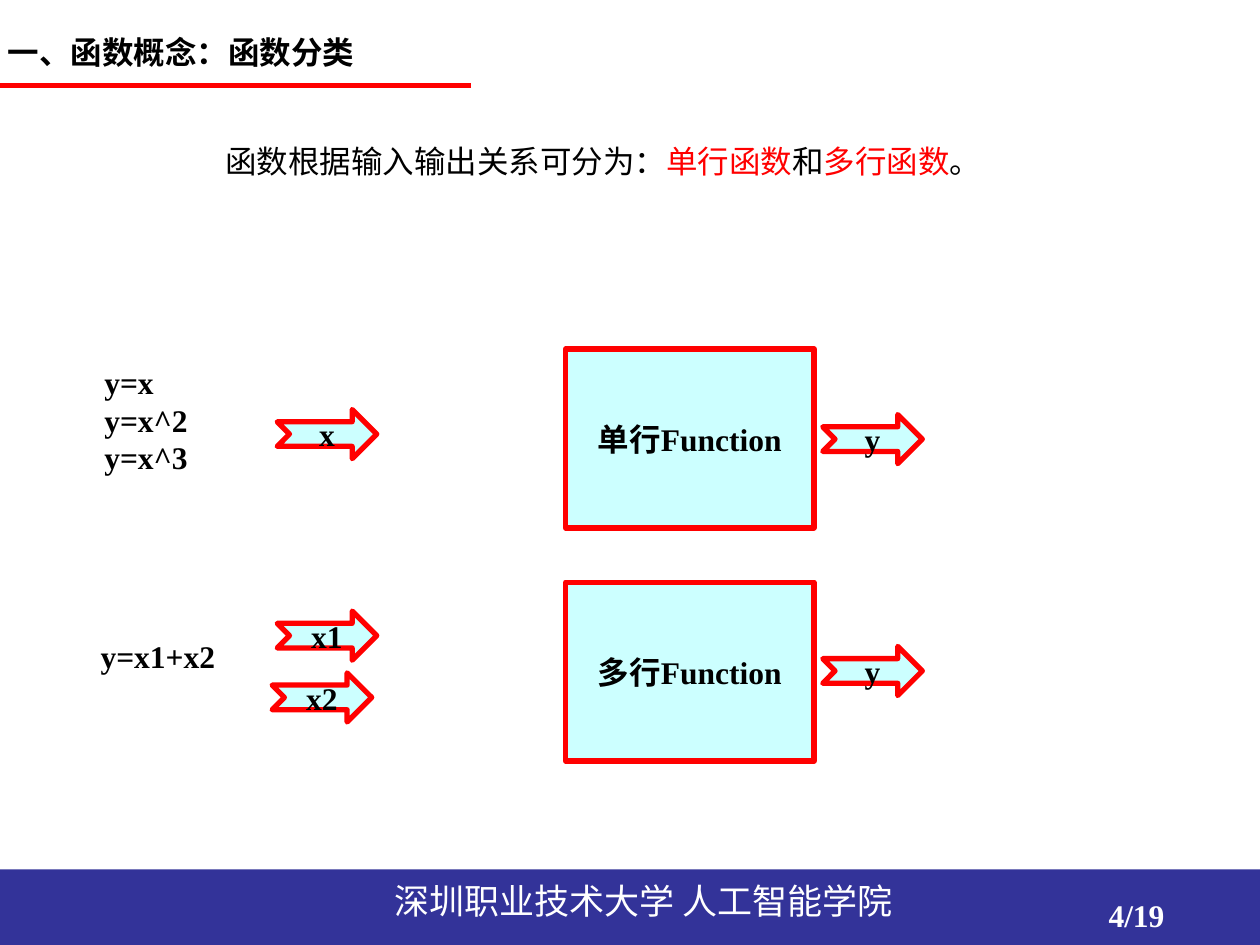
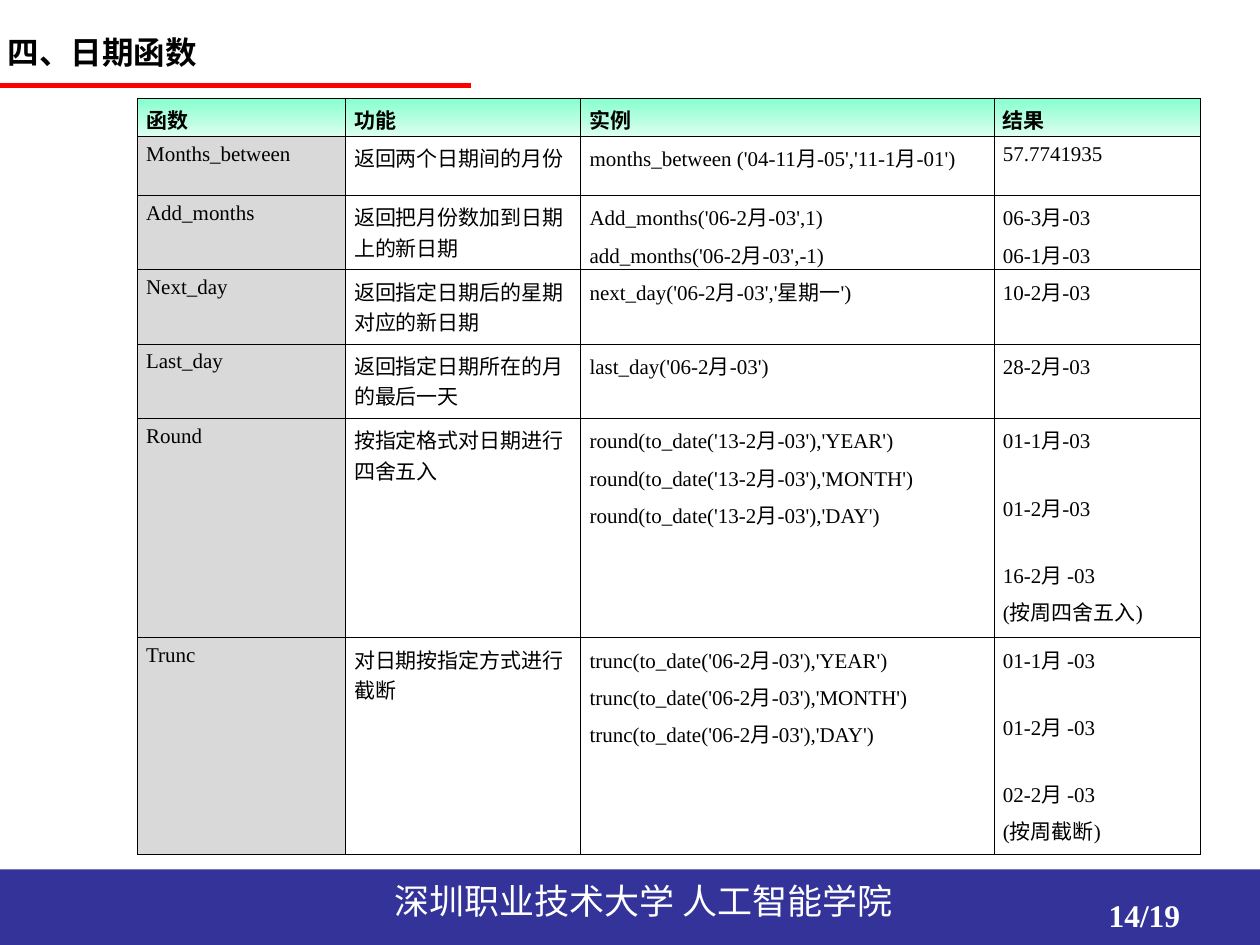
"""Two lecture slides on database functions: their kinds, and the date functions."""
from lxml import etree
from pptx import Presentation
from pptx import util as u
from pptx.dml.color import RGBColor
from pptx.enum import shapes, text
from pptx.oxml import ns

BLACK = RGBColor(0, 0, 0)
WHITE = RGBColor(255, 255, 255)
RED = RGBColor(255, 0, 0)
NAVY = RGBColor(0x33, 0x33, 0x99)
CYAN = RGBColor(0xCC, 0xFF, 0xFF)
GREY = RGBColor(0xD9, 0xD9, 0xD9)
MINT = RGBColor(0x86, 0xFF, 0xCF)
PALE_MINT = RGBColor(0xDC, 0xFF, 0xEF)
SERIF, SANS, CHINESE = "Times New Roman", "Arial", "Noto Sans CJK SC"


def style(frame, size=18, colour=BLACK, bold=True, font=SERIF):
    """Format every run of a text frame."""
    for para in frame.paragraphs:
        for span in para.runs:
            span.font.size = u.Pt(size)
            span.font.bold = bold
            span.font.name = font
            span.font.color.rgb = colour
            east = etree.SubElement(span._r.get_or_add_rPr(), ns.qn("a:ea"))
            east.set("typeface", CHINESE)


def add_text(page, left, top, width, height, words, **look):
    """Add a wrapped text box and return its frame."""
    frame = page.shapes.add_textbox(*map(u.Inches, (left, top, width, height))).text_frame
    frame.word_wrap = True
    frame.text = words
    style(frame, **look)
    return frame


deck = Presentation()
deck.slide_width, deck.slide_height = u.Inches(10), u.Inches(7.5)

pages = []
for heading, number in [("一、函数概念：函数分类", "4/19"), ("四、日期函数", "14/19")]:
    page = deck.slides.add_slide(deck.slide_layouts[5])
    pages.append(page)

    band = page.shapes.add_shape(shapes.MSO_SHAPE.RECTANGLE, 0, u.Inches(6.9), u.Inches(10), u.Inches(0.6))
    band.shadow.inherit = False
    band.fill.solid()
    band.fill.fore_color.rgb = NAVY
    band.line.fill.background()

    rule = page.shapes.add_connector(shapes.MSO_CONNECTOR.STRAIGHT, 0, u.Inches(0.68), u.Inches(3.74), u.Inches(0.68))
    rule.line.color.rgb = RED
    rule.line.width = u.Pt(3)
    etree.SubElement(rule._element.spPr, ns.qn("a:effectLst"))

    add_text(page, 3.03, 6.93, 4.94, 0.44, "深圳职业技术大学 人工智能学院",
             size=20, colour=WHITE, bold=False, font=CHINESE)
    add_text(page, 8.7, 7.06, 1.3, 0.44, number, colour=WHITE)

    title = page.shapes.title
    title.left, title.top, title.width, title.height = map(u.Inches, (-0.04, 0.21, 5.19, 0.4))
    title.text_frame.text = heading
    title.text_frame.auto_size = text.MSO_AUTO_SIZE.NONE
    title.text_frame.vertical_anchor = text.MSO_ANCHOR.TOP
    title.text_frame.paragraphs[0].alignment = text.PP_ALIGN.LEFT
    style(title.text_frame, font=SANS)

kinds_page, dates_page = pages

intro = add_text(kinds_page, 1.69, 1.08, 7.32, 0.4, "")
para = intro.paragraphs[0]
for words in ["函数根据输入输出关系可分为：", "单行函数", "和", "多行函数", "。"]:
    para.add_run().text = words
style(intro, bold=False, font=SANS)
for span in para.runs[1::2]:
    span.font.color.rgb = RED

add_text(kinds_page, 0.73, 2.83, 3, 1.3, "y=x\ny=x^2\ny=x^3")
add_text(kinds_page, 0.7, 5.01, 3, 0.4, "y=x1+x2")

BOX = (shapes.MSO_SHAPE.RECTANGLE, 1.97, 1.42)
ARROW = (shapes.MSO_SHAPE.NOTCHED_RIGHT_ARROW, 0.79, 0.39)
for (preset, width, height), left, top, label in [
    (BOX, 4.49, 2.77, "单行Function"),
    (ARROW, 2.2, 3.25, "x"),
    (ARROW, 6.53, 3.29, "y"),
    (BOX, 4.49, 4.62, "多行Function"),
    (ARROW, 6.53, 5.13, "y"),
    (ARROW, 2.2, 4.85, "x1"),
    (ARROW, 2.16, 5.34, "x2"),
]:
    node = kinds_page.shapes.add_shape(preset, *map(u.Inches, (left, top, width, height)))
    node.shadow.inherit = False
    node.fill.solid()
    node.fill.fore_color.rgb = CYAN
    node.line.color.rgb = RED
    node.line.width = u.Pt(3)
    frame = node.text_frame
    frame.word_wrap = False
    frame.margin_top = frame.margin_bottom = 0
    frame.vertical_anchor = text.MSO_ANCHOR.MIDDLE
    frame.text = label
    frame.paragraphs[0].alignment = text.PP_ALIGN.CENTER
    style(frame)

ROWS = [
    ("函数", "功能", "实例", "结果"),
    ("Months_between", "返回两个日期间的月份", "months_between ('04-11月-05','11-1月-01')", "57.7741935"),
    ("Add_months", "返回把月份数加到日期上的新日期",
     "Add_months('06-2月-03',1)\nadd_months('06-2月-03',-1)", "06-3月-03\n06-1月-03"),
    ("Next_day", "返回指定日期后的星期对应的新日期", "next_day('06-2月-03','星期一')", "10-2月-03"),
    ("Last_day", "返回指定日期所在的月的最后一天", "last_day('06-2月-03')", "28-2月-03"),
    ("Round", "按指定格式对日期进行四舍五入",
     "round(to_date('13-2月-03'),'YEAR')\nround(to_date('13-2月-03'),'MONTH')\nround(to_date('13-2月-03'),'DAY')",
     "01-1月-03\n01-2月-03\n16-2月 -03\n(按周四舍五入)"),
    ("Trunc", "对日期按指定方式进行截断",
     "trunc(to_date('06-2月-03'),'YEAR')\ntrunc(to_date('06-2月-03'),'MONTH')\ntrunc(to_date('06-2月-03'),'DAY')",
     "01-1月 -03\n01-2月 -03\n02-2月 -03\n(按周截断)"),
]
COLUMN_WIDTHS = [1.65, 1.87, 3.28, 1.64]
ROW_HEIGHTS = [0.3, 0.47, 0.59, 0.59, 0.59, 1.74, 1.72]

table = dates_page.shapes.add_table(
    len(ROWS), len(COLUMN_WIDTHS), u.Inches(1.09), u.Inches(0.78),
    u.Inches(sum(COLUMN_WIDTHS)), u.Inches(sum(ROW_HEIGHTS))).table
table.first_row = table.horz_banding = False
for column, width in zip(table.columns, COLUMN_WIDTHS):
    column.width = u.Inches(width)

for r, (height, row) in enumerate(zip(ROW_HEIGHTS, ROWS)):
    table.rows[r].height = u.Inches(height)
    for c, words in enumerate(row):
        cell = table.cell(r, c)
        cell.margin_left = cell.margin_right = u.Inches(0.07)
        cell.margin_top, cell.margin_bottom = u.Inches(0.05), 0
        cell.text_frame.text = words
        style(cell.text_frame, size=12, bold=r == 0)
        lines = cell.text_frame.paragraphs
        for i, para in enumerate(lines[1:], 1):
            spread = c == 3 and len(lines) == 4 and i < 3
            para.space_before = u.Pt(21 if spread else 4)

        if r == 0:
            cell.fill.gradient()
            cell.fill.gradient_angle = 270
            for stop, colour in zip(cell.fill.gradient_stops, (MINT, PALE_MINT)):
                stop.color.rgb = colour
        elif c == 0:
            cell.fill.solid()
            cell.fill.fore_color.rgb = GREY
        else:
            cell.fill.background()

        properties = cell._tc.get_or_add_tcPr()
        for i, side in enumerate(("lnL", "lnR", "lnT", "lnB")):
            border = etree.Element(ns.qn(f"a:{side}"), w=str(u.Pt(0.45)))
            paint = etree.SubElement(border, ns.qn("a:solidFill"))
            etree.SubElement(paint, ns.qn("a:srgbClr"), val=str(BLACK))
            properties.insert(i, border)

deck.save("out.pptx")
